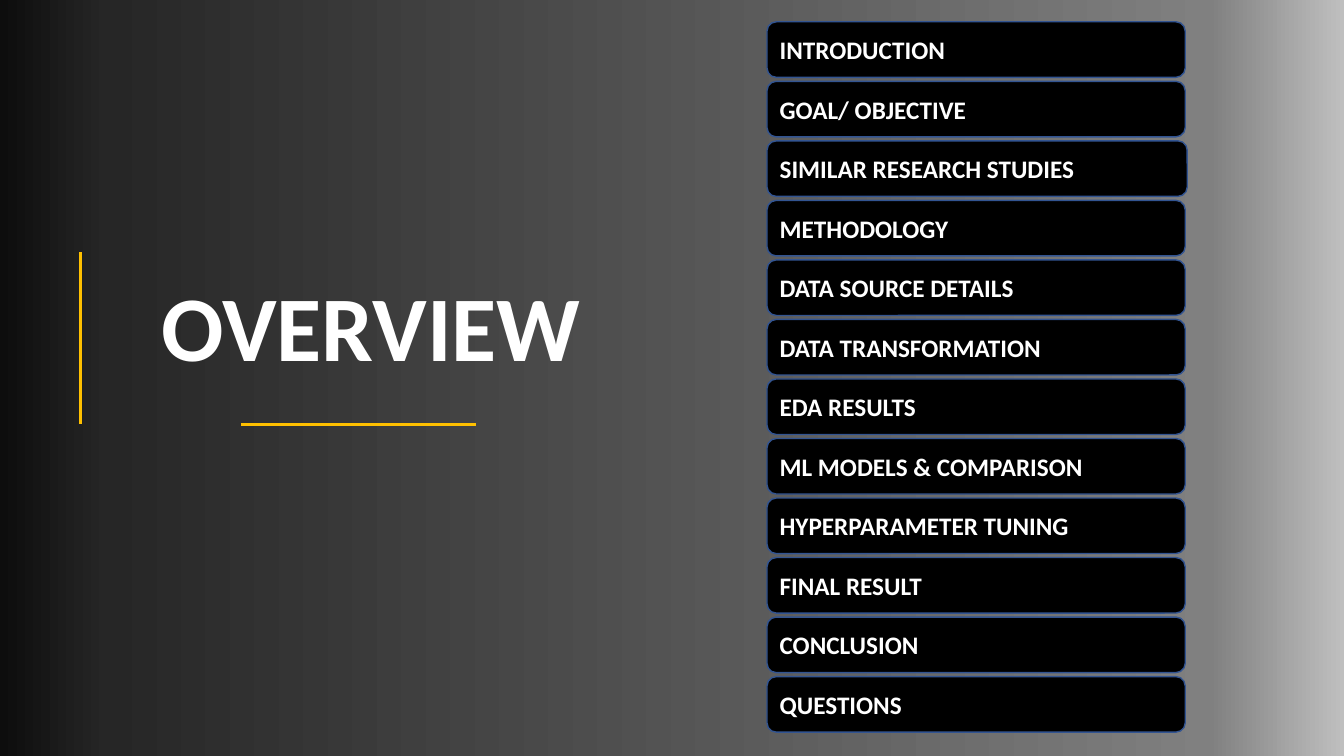
from copy import deepcopy
from dataclasses import dataclass

from lxml.etree import SubElement
from pptx import Presentation
from pptx.dml.color import RGBColor
from pptx.enum.shapes import MSO_CONNECTOR, MSO_SHAPE
from pptx.enum.text import MSO_ANCHOR, MSO_AUTO_SIZE, PP_ALIGN
from pptx.oxml.ns import qn
from pptx.slide import Slide
from pptx.text.text import TextFrame
from pptx.util import Cm, Pt


@dataclass(frozen=True)
class Theme:
    font: str = "Calibri"
    text: RGBColor = RGBColor(0xFF, 0xFF, 0xFF)
    topic_fill: RGBColor = RGBColor(0x00, 0x00, 0x00)
    topic_line: RGBColor = RGBColor(0x32, 0x54, 0x91)
    accent: RGBColor = RGBColor(0xFF, 0xC0, 0x00)
    title_size: Pt = Pt(66)
    topic_size: Pt = Pt(18)
    background: tuple[tuple[float, str], ...] = (
        (0, "0D0D0D"), (0.08, "262626"), (0.9, "808080"), (1, "BFBFBF"))


@dataclass(frozen=True)
class Topic:
    text: str
    width: float = 10.54


@dataclass(frozen=True)
class Rule:
    """A straight accent line, ends in centimetres."""
    x1: float
    y1: float
    x2: float
    y2: float


THEME = Theme()
TOPIC_LEFT, TOPIC_TOP, TOPIC_HEIGHT, TOPIC_PITCH = 19.33, 0.55, 1.4, 1.5
TOPICS = (
    Topic("INTRODUCTION"),
    Topic("GOAL/ OBJECTIVE"),
    Topic("SIMILAR RESEARCH STUDIES", width=10.59),
    Topic("METHODOLOGY"),
    Topic("DATA SOURCE DETAILS"),
    Topic("DATA TRANSFORMATION"),
    Topic("EDA RESULTS"),
    Topic("ML MODELS & COMPARISON"),
    Topic("HYPERPARAMETER TUNING"),
    Topic("FINAL RESULT"),
    Topic("CONCLUSION"),
    Topic("QUESTIONS"),
)
RULES = (Rule(2.03, 6.35, 2.03, 10.69), Rule(6.07, 10.69, 11.99, 10.69))


def paint_background(s: Slide) -> None:
    fill = s.background.fill
    fill.gradient()
    fill.gradient_angle = 0
    stop_list = next(s.element.iter(qn("a:gsLst")))
    while len(stop_list) < len(THEME.background):
        stop_list.append(deepcopy(stop_list[0]))
    for stop, (position, color) in zip(fill.gradient_stops, THEME.background):
        stop.position = position
        stop.color.rgb = RGBColor.from_string(color)


def write(tf: TextFrame, text: str, size: Pt) -> None:
    """Put one bold, left-aligned, vertically centred paragraph in the frame."""
    tf.text = text
    tf.word_wrap = True
    tf.auto_size = MSO_AUTO_SIZE.NONE
    tf.vertical_anchor = MSO_ANCHOR.MIDDLE
    p = tf.paragraphs[0]
    p.alignment = PP_ALIGN.LEFT
    p.font.name = THEME.font
    p.font.size = size
    p.font.bold = True
    p.font.color.rgb = THEME.text


def add_title(s: Slide) -> None:
    title = s.shapes.title
    title.left, title.top, title.width, title.height = Cm(3.81), Cm(6.48), Cm(11.4), Cm(3.73)
    write(title.text_frame, "OVERVIEW", THEME.title_size)
    p = title.text_frame.paragraphs[0]
    p.line_spacing = 0.9
    p.space_after = Pt(6)


def add_topic(s: Slide, topic: Topic, top: float) -> None:
    sp = s.shapes.add_shape(MSO_SHAPE.ROUNDED_RECTANGLE, Cm(TOPIC_LEFT), Cm(top),
                            Cm(topic.width), Cm(TOPIC_HEIGHT))
    sp.shadow.inherit = False
    sp.fill.solid()
    sp.fill.fore_color.rgb = THEME.topic_fill
    sp.line.color.rgb = THEME.topic_line
    sp.line.width = Pt(1)
    write(sp.text_frame, topic.text, THEME.topic_size)


def add_rule(s: Slide, rule: Rule) -> None:
    line = s.shapes.add_connector(MSO_CONNECTOR.STRAIGHT, Cm(rule.x1), Cm(rule.y1),
                                  Cm(rule.x2), Cm(rule.y2))
    line.line.color.rgb = THEME.accent
    line.line.width = Pt(2)
    SubElement(line.element.spPr, qn("a:effectLst"))


def main() -> None:
    prs = Presentation()
    prs.slide_width, prs.slide_height = Cm(33.87), Cm(19.05)
    s = prs.slides.add_slide(prs.slide_layouts.get_by_name("Title Only"))
    paint_background(s)
    add_title(s)
    for i, topic in enumerate(TOPICS):
        add_topic(s, topic, TOPIC_TOP + i * TOPIC_PITCH)
    for rule in RULES:
        add_rule(s, rule)
    prs.save("out.pptx")


if __name__ == "__main__":
    main()
